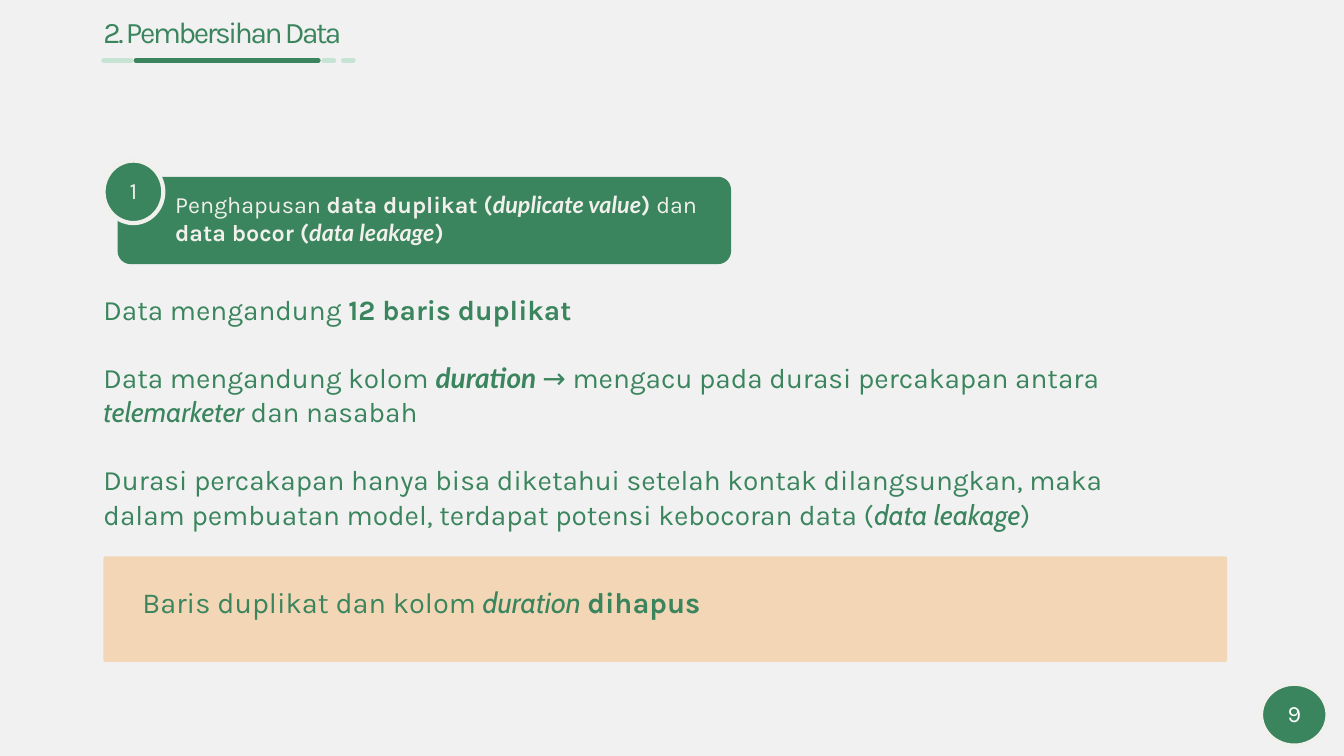
from pptx import Presentation, util as u
from pptx.dml.color import RGBColor
from pptx.enum import dml, shapes, text
from pptx.oxml.ns import qn
from lxml import etree

HUE = {"page": "F1F1F1", "green": "3A855D", "mint": "C6E3D3",
       "sand": "F3D6B5", "cream": "F1F0EC", "white": "FFFFFF"}
RGB = {k: RGBColor.from_string(v) for k, v in HUE.items()}

# Font, bold, italic of each run style
FACE = {"plain": ("Karla", False, False), "bold": ("Karla", True, False),
        "key": ("Lato", True, True), "term": ("Cabin", False, True)}

deck = Presentation()
deck.slide_width, deck.slide_height = u.Inches(20), u.Inches(11.25)
slide = deck.slides.add_slide(deck.slide_layouts[1])
slide.background.fill.solid()
slide.background.fill.fore_color.rgb = RGB["page"]


def area(x, y, w, h):
    """Turn percentages of the slide into lengths."""
    wide, high = deck.slide_width / 100, deck.slide_height / 100
    return [int(n) for n in (x * wide, y * high, w * wide, h * high)]


def write(shape, paras, size, hue, lead, gap=0, pads=(0, 0, 0, 0), mid=True,
          align=text.PP_ALIGN.LEFT, track=0):
    """Fill a shape with paragraphs of (style, words) runs; pads in inches."""
    frame = shape.text_frame
    frame.word_wrap, frame.auto_size = True, text.MSO_AUTO_SIZE.NONE
    frame.vertical_anchor = text.MSO_ANCHOR.MIDDLE if mid else text.MSO_ANCHOR.TOP
    (frame.margin_left, frame.margin_top,
     frame.margin_right, frame.margin_bottom) = map(u.Inches, pads)
    for i, runs in enumerate(paras):
        para = frame.paragraphs[0] if i == 0 else frame.add_paragraph()
        para.alignment, para.line_spacing = align, u.Pt(lead)
        para.space_before = u.Pt(gap if i else 0)
        props = para._p.get_or_add_pPr()
        props.set("marL", "0")
        props.set("indent", "0")
        etree.SubElement(props, qn("a:buNone"))
        para.font.size, para.font.color.rgb = u.Pt(size), RGB[hue]
        for style, words in runs:
            run = para.add_run()
            run.text = words
            run.font.name, run.font.bold, run.font.italic = FACE[style]
            if track:
                run.font._element.set("spc", str(int(track * 100)))


# Title and body text
title, body = slide.placeholders
title.left, title.top, title.width, title.height = area(7.7, 2.76, 20.45, 4)
write(title, [[("plain", "2. Pembersihan Data")]], 32, "green", 30.7,
      mid=False, track=-2.6)

body.left, body.top, body.width, body.height = area(7.7, 38.58, 78.35, 31.2)
write(body, [
    [("plain", "Data mengandung "), ("bold", "12 baris duplikat")],
    [("plain", "Data mengandung kolom "), ("key", "duration "),
     ("plain", "→ mengacu pada durasi percakapan antara "),
     ("term", "telemarketer "), ("plain", "dan nasabah")],
    [("plain", "Durasi percakapan hanya bisa diketahui setelah kontak "
      "dilangsungkan, maka dalam pembuatan model, terdapat potensi "
      "kebocoran data ("), ("term", "data leakage"), ("plain", ")")],
], 30, "green", 36.6, gap=36.6, mid=False)

# Rule under the title: from, to, colour, width, dash
for x1, x2, hue, thick, dash in [
        (10.1, 23.7, "green", 4.5, None), (7.7, 9.75, "mint", 4.5, None),
        (24.1, 26.8, "mint", 5.25, dml.MSO_LINE.SQUARE_DOT)]:
    left, top, span, _ = area(x1, 8, x2 - x1, 0)
    rule = slide.shapes.add_connector(shapes.MSO_CONNECTOR.STRAIGHT,
                                      left, top, left + span, top)
    rule.line.color.rgb, rule.line.width = RGB[hue], u.Pt(thick)
    if dash:
        rule.line.dash_style = dash
    rule.line._get_or_add_ln().set("cap", "rnd")
    etree.SubElement(rule._element.spPr, qn("a:effectLst"))

# Step card and conclusion banner: place, corner, colour, text settings
step = [[("plain", "Penghapusan "), ("bold", "data duplikat ("),
         ("key", "duplicate value"), ("bold", ") "), ("plain", "dan")],
        [("bold", "data bocor ("), ("key", "data leakage"), ("bold", ")")]]
result = [[("plain", "Baris duplikat dan kolom "), ("term", "duration "),
           ("bold", "dihapus")]]
for place, bend, hue, words, look, pads in [
        ((8.75, 23.38, 45.65, 11.56), 0.15, "green", step,
         (25, "cream", 30.2), (0.8, 0.06, 0.06, 0.14)),
        ((7.7, 73.6, 83.6, 13.96), 0.02, "sand", result,
         (31, "green", 42.2), (0.57, 0.06, 0.06, 0.34))]:
    card = slide.shapes.add_shape(shapes.MSO_SHAPE.ROUNDED_RECTANGLE, *area(*place))
    card.adjustments[0] = bend
    card.shadow.inherit = False
    card.fill.solid()
    card.fill.fore_color.rgb = RGB[hue]
    card.line.fill.background()
    write(card, words, *look, pads=pads)

# Step number and page number
for place, thick, label, hue in [((7.7, 21.24, 4.45, 8.27), 4.5, "1", "cream"),
                                 ((93.85, 90.49, 4.9, 8.09), 3.75, "9", "white")]:
    badge = slide.shapes.add_shape(shapes.MSO_SHAPE.OVAL, *area(*place))
    badge.shadow.inherit = False
    badge.fill.solid()
    badge.fill.fore_color.rgb = RGB["green"]
    badge.line.color.rgb, badge.line.width = RGB["cream"], u.Pt(thick)
    write(badge, [[("plain", label)]], 25, hue, 19.2, pads=(0, 0.09, 0, 0),
          align=text.PP_ALIGN.CENTER, track=-2)

deck.save("out.pptx")
